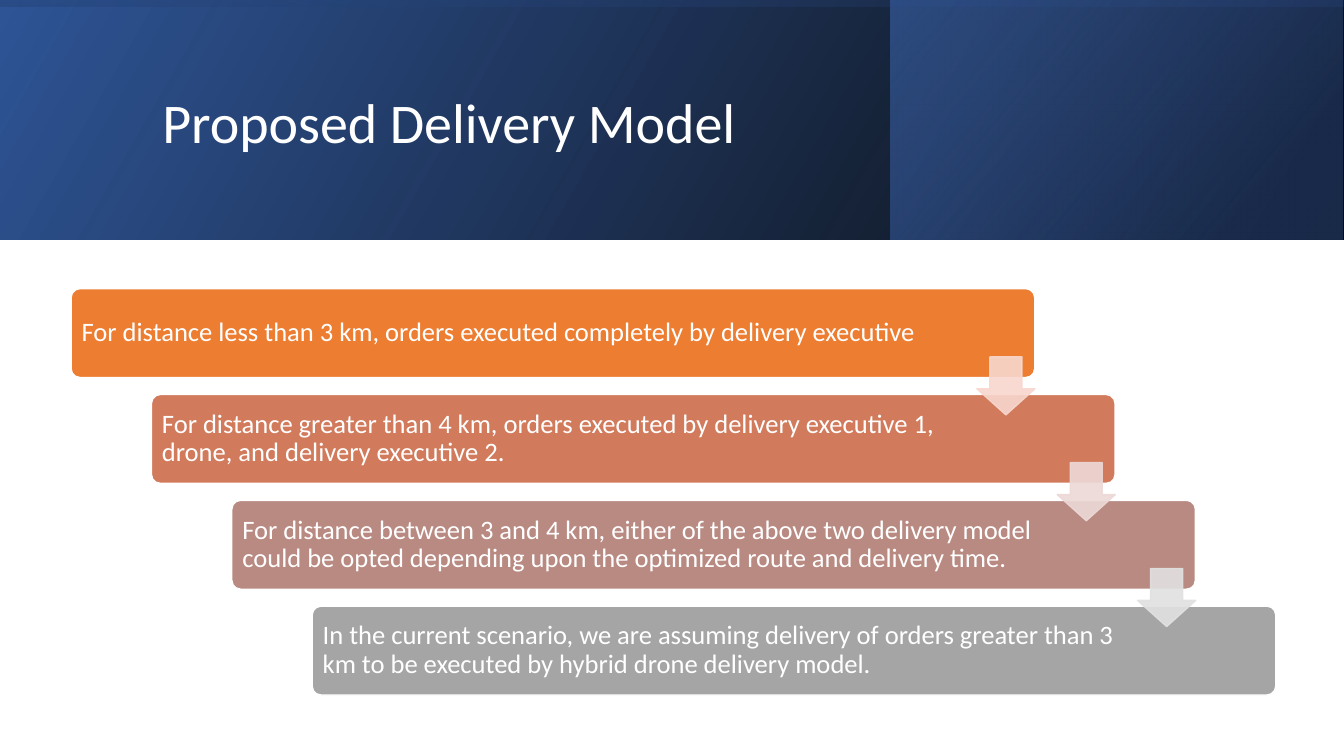
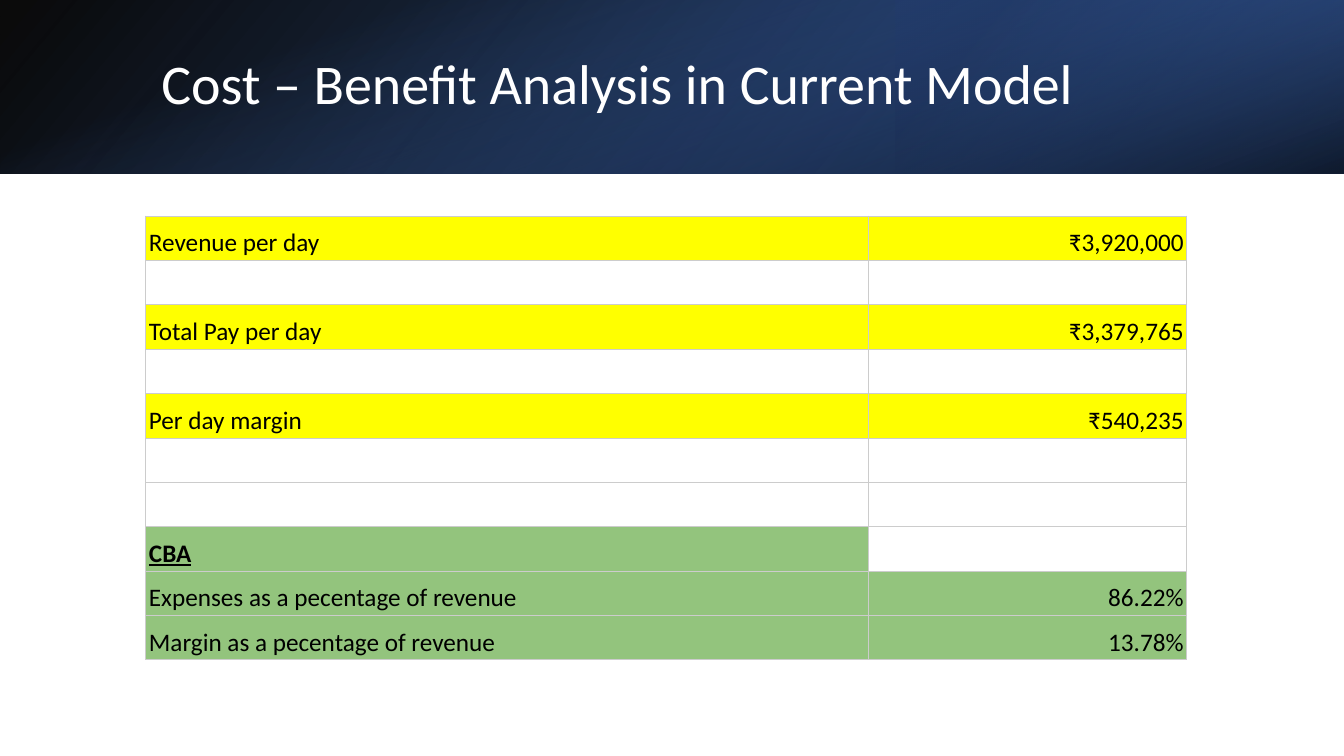
"""Build two slides on a delivery model and its cost-benefit analysis."""
from lxml import etree
from pptx import Presentation
from pptx.dml.color import RGBColor
from pptx.enum.shapes import MSO_SHAPE
from pptx.enum.text import MSO_ANCHOR, PP_ALIGN
from pptx.oxml.ns import qn
from pptx.util import Pt

RECTANGLE = MSO_SHAPE.RECTANGLE
ROUNDED = MSO_SHAPE.ROUNDED_RECTANGLE
DOWN_ARROW = MSO_SHAPE.DOWN_ARROW
MIDDLE, BOTTOM = MSO_ANCHOR.MIDDLE, MSO_ANCHOR.BOTTOM
LEFT, RIGHT = PP_ALIGN.LEFT, PP_ALIGN.RIGHT

WHITE = RGBColor(0xFF, 0xFF, 0xFF)
BLACK = RGBColor(0x00, 0x00, 0x00)
NAVY = RGBColor(0x20, 0x38, 0x64)
BLUE = RGBColor(0x2F, 0x55, 0x97)
BRIGHT_BLUE = RGBColor(0x44, 0x72, 0xC4)
ORANGE = RGBColor(0xED, 0x7D, 0x31)
TERRACOTTA = RGBColor(0xD1, 0x7B, 0x5C)
DUSTY_ROSE = RGBColor(0xB9, 0x8A, 0x82)
GRAY = RGBColor(0xA5, 0xA5, 0xA5)
PALE_ORANGE = RGBColor(0xF8, 0xD7, 0xCE)
PALE_ROSE = RGBColor(0xED, 0xD9, 0xD7)
PALE_GRAY = RGBColor(0xE1, 0xE1, 0xE1)
YELLOW = RGBColor(0xFF, 0xFF, 0x00)
GREEN = RGBColor(0x93, 0xC4, 0x7D)
BORDER = RGBColor(0xCC, 0xCC, 0xCC)

FONT = "Calibri"
SLIDE_WIDTH, SLIDE_HEIGHT = 960, 540
TITLE_ONLY = 5
BASE_STOPS = ((0, BLACK, 96), (1, BLUE, 100))


class Deck:
    """Hold the shared style and the current slide."""

    def __init__(self):
        """Start an empty widescreen presentation."""
        self.presentation = Presentation()
        self.presentation.slide_width = Pt(SLIDE_WIDTH)
        self.presentation.slide_height = Pt(SLIDE_HEIGHT)
        self.slide = None

    def add_slide(self):
        """Make a new title-only slide current."""
        layout = self.presentation.slide_layouts[TITLE_ONLY]
        self.slide = self.presentation.slides.add_slide(layout)

    def style(self, paragraph, size, color, align=LEFT, spacing=None):
        """Format a whole paragraph."""
        paragraph.font.name = FONT
        paragraph.font.size = Pt(size)
        paragraph.font.color.rgb = color
        paragraph.alignment = align
        paragraph.line_spacing = spacing

    def title(self, text, left, top, width, height):
        """Fill the title placeholder and lift it above the bands."""
        title = self.slide.shapes.title
        title.left, title.top = Pt(left), Pt(top)
        title.width, title.height = Pt(width), Pt(height)
        title.text_frame.text = text
        title.text_frame.vertical_anchor = MIDDLE
        self.style(title.text_frame.paragraphs[0], 40, WHITE, spacing=0.9)
        title.element.getparent().append(title.element)

    def shape(self, kind, left, top, width, height):
        """Add a preset shape without a shadow."""
        shape = self.slide.shapes.add_shape(
            kind, Pt(left), Pt(top), Pt(width), Pt(height))
        shape.shadow.inherit = False
        return shape

    def set_opacity(self, shape, opacities):
        """Give the colours of a shape, in order, their opacity in percent."""
        colors = shape.element.spPr.iter(qn("a:srgbClr"))
        for color, opacity in zip(colors, opacities):
            etree.SubElement(color, qn("a:alpha"), val=str(opacity * 1000))

    def band(self, left, width, height, stops, angle, rotation=0, flip=True):
        """Add a gradient band at the top, given its size as seen."""
        box_width, box_height = width, height
        if rotation in (90, 270):
            box_width, box_height = height, width
        band = self.shape(RECTANGLE, left + (width - box_width) / 2,
                          (height - box_height) / 2, box_width, box_height)
        band.rotation = rotation
        band.line.fill.background()
        band.fill.gradient()
        band.fill.gradient_angle = 360 - angle
        for stop, (position, color, _) in zip(band.fill.gradient_stops, stops):
            stop.position = position
            stop.color.rgb = color
        self.set_opacity(band, [opacity for _, _, opacity in stops])
        if flip:
            band.element.spPr.find(qn("a:xfrm")).set("flipH", "1")

    def step(self, text, left, top, width, height, color, right_inset):
        """Add a rounded box holding one step."""
        step = self.shape(ROUNDED, left, top, width, height)
        step.adjustments[0] = 0.1
        step.fill.solid()
        step.fill.fore_color.rgb = color
        step.line.color.rgb = WHITE
        step.line.width = Pt(1)
        frame = step.text_frame
        frame.word_wrap = True
        frame.vertical_anchor = MIDDLE
        frame.margin_left = frame.margin_top = frame.margin_bottom = Pt(5.7)
        frame.margin_right = Pt(right_inset)
        frame.text = text
        self.style(frame.paragraphs[0], 19, WHITE, spacing=0.9)

    def arrow(self, left, top, size, color):
        """Add a translucent down arrow."""
        arrow = self.shape(DOWN_ARROW, left, top, size, size)
        arrow.adjustments[0], arrow.adjustments[1] = 0.55, 0.45
        arrow.fill.solid()
        arrow.fill.fore_color.rgb = color
        arrow.line.color.rgb = color
        arrow.line.width = Pt(1)
        self.set_opacity(arrow, (90, 90))

    def border(self, cell):
        """Draw a thin line on all sides of a cell."""
        properties = cell._tc.get_or_add_tcPr()
        for side in ("lnL", "lnR", "lnT", "lnB"):
            line = etree.SubElement(
                properties, qn("a:" + side), w=str(Pt(0.75)))
            fill = etree.SubElement(line, qn("a:solidFill"))
            etree.SubElement(fill, qn("a:srgbClr"), val=str(BORDER))

    def cell(self, cell, text, color, align):
        """Fill and format one table cell."""
        self.border(cell)
        cell.vertical_anchor = BOTTOM
        cell.margin_left = cell.margin_right = Pt(2.2)
        cell.margin_top = cell.margin_bottom = Pt(1.5)
        if not text:
            cell.fill.background()
            return
        cell.fill.solid()
        cell.fill.fore_color.rgb = color
        cell.text_frame.text = text
        self.style(cell.text_frame.paragraphs[0], 18, BLACK, align)

    def table(self, left, top, widths, row_height, rows):
        """Add a two-column table of labels and values."""
        table = self.slide.shapes.add_table(
            len(rows), len(widths), Pt(left), Pt(top),
            Pt(sum(widths)), Pt(row_height * len(rows))).table
        table.first_row = table.horz_banding = False
        for column, width in zip(table.columns, widths):
            column.width = Pt(width)
        for index, (label, value, color) in enumerate(rows):
            table.rows[index].height = Pt(row_height)
            self.cell(table.cell(index, 0), label, color, LEFT)
            self.cell(table.cell(index, 1), value, color, RIGHT)
        return table


def delivery_model(deck):
    """Build the staircase of delivery steps."""
    deck.add_slide()
    height = 170.9
    deck.band(0, SLIDE_WIDTH, height, BASE_STOPS, 330)
    deck.band(636, 323, height,
              ((0.19, NAVY, 68), (1, BRIGHT_BLUE, 48)), 320)
    deck.band(0, SLIDE_WIDTH, height,
              ((0.23, BLUE, 16), (0.99, BLACK, 45)), 350, rotation=270)
    deck.title("Proposed Delivery Model", 108.7, 27.4, 765.4, 123.8)

    steps = (
        ("For distance less than 3 km, orders executed completely by "
         "delivery executive", ORANGE, PALE_ORANGE, 75),
        ("For distance greater than 4 km, orders executed by delivery "
         "executive 1, drone, and delivery executive 2.",
         TERRACOTTA, PALE_ROSE, 104),
        ("For distance between 3 and 4 km, either of the above two delivery "
         "model could be opted depending upon the optimized route and "
         "delivery time.", DUSTY_ROSE, PALE_GRAY, 104),
        ("In the current scenario, we are assuming delivery of orders "
         "greater than 3 km to be executed by hybrid drone delivery model.",
         GRAY, None, 104),
    )
    corners = [(50.8 + 57.4 * index, 206.2 + 75.6 * index)
               for index in range(len(steps))]
    for (left, top), (text, color, _, right_inset) in zip(corners, steps):
        deck.step(text, left, top, 688.3, 63.5, color, right_inset)
    for (left, top), (_, _, color, _) in zip(corners[:-1], steps):
        deck.arrow(left + 647, top + 48.7, 41.5, color)


def cost_benefit(deck):
    """Build the table of daily revenue, pay and margin."""
    deck.add_slide()
    height = 124
    deck.band(0, SLIDE_WIDTH, height, BASE_STOPS, 140)
    deck.band(640, 320, height,
              ((0.19, NAVY, 68), (1, BRIGHT_BLUE, 79)), 320, rotation=180)
    deck.band(0, SLIDE_WIDTH, height,
              ((0.23, BRIGHT_BLUE, 0), (0.99, BLACK, 74)), 340,
              rotation=90, flip=False)
    deck.title("Cost – Benefit Analysis in Current Model",
               108, 27.4, 790.6, 69)

    gap = ("", "", None)
    rows = (
        ("Revenue per day", "₹3,920,000", YELLOW),
        gap,
        ("Total Pay per day", "₹3,379,765", YELLOW),
        gap,
        ("Per day margin", "₹540,235", YELLOW),
        gap,
        gap,
        ("CBA", "", GREEN),
        ("Expenses as a pecentage of revenue", "86.22%", GREEN),
        ("Margin as a pecentage of revenue", "13.78%", GREEN),
    )
    table = deck.table(104.2, 154.4, (516.2, 227.3), 31.7, rows)
    heading = table.cell(7, 0).text_frame.paragraphs[0]
    heading.font.bold = heading.font.underline = True


def main():
    """Build and save the presentation."""
    deck = Deck()
    delivery_model(deck)
    cost_benefit(deck)
    deck.presentation.save("out.pptx")


main()
